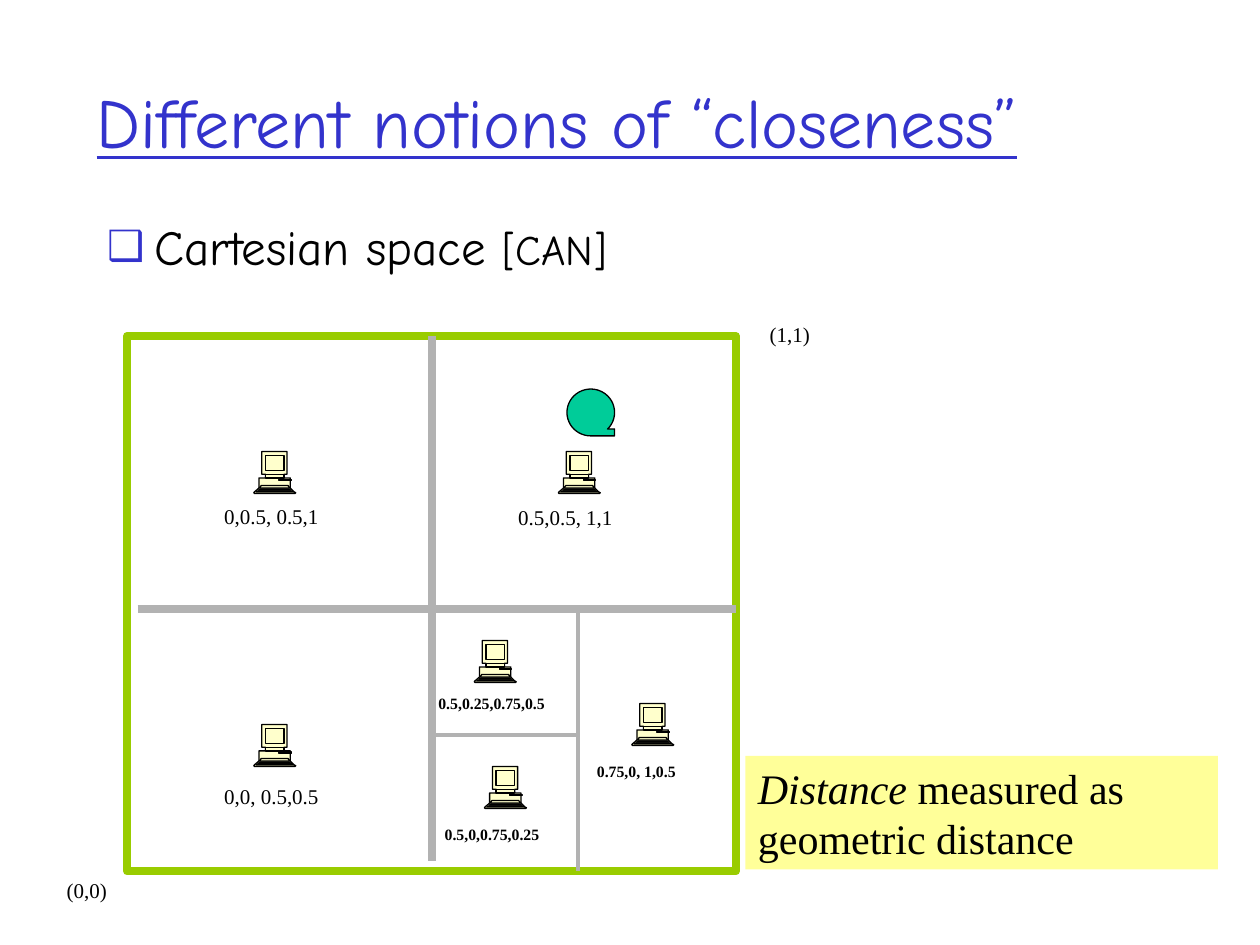
from lxml import etree
from pptx import Presentation
from pptx.dml.color import RGBColor
from pptx.enum import shapes, text
from pptx.oxml.ns import qn
from pptx.util import Pt

INK = {"blue": "3333CC", "black": "000000", "lime": "99CC00", "gray": "B2B2B2",
       "cream": "FFFFCC", "note": "FFFF99", "teal": "00CC99"}
HAND, SERIF = "Comic Neue", "Times New Roman"


def ring(x, y, w, h):
    return [(x, y), (x + w, y), (x + w, y + h), (x, y + h)]


def bar(x, y, w, h, slope):
    """Trapezoid whose top is shorter by slope on each side."""
    return [(x, y + h), (x + slope, y), (x + w - slope, y), (x + w, y + h)]


# Computer outline in tenths of a point, within a 240 by 240 box
CASE = [(230, 230), (209, 209), (209, 151), (173, 151), (173, 130), (190, 130),
        (190, 0), (46, 0), (46, 130), (67, 130), (67, 151), (30, 151),
        (30, 209), (5, 230), (0, 236), (5, 240), (235, 240), (240, 236)]
PARTS = [CASE, bar(40, 202, 160, 7, 10), bar(27, 215, 186, 7, 8),
         bar(14, 225, 212, 7, 8), bar(30, 194, 179, 15, 14),
         ring(144, 158, 70, 8), ring(67, 22, 106, 86), ring(67, 130, 106, 21)]


def rgb(name):
    return RGBColor.from_string(INK[name])


def style(run, size, face=SERIF, ink="black"):
    font = run.font
    font.size, font.name = Pt(size), face
    font.color.rgb = rgb(ink)
    return font


def paint(shape, fill=None, line=None, width=0.75):
    shape.shadow.inherit = False
    for part, ink in ((shape.fill, fill), (shape.line.fill, line)):
        if ink:
            part.solid()
            part.fore_color.rgb = rgb(ink)
        else:
            part.background()
    if line:
        shape.line.width = Pt(width)


def place(shape, box):
    shape.left, shape.top, shape.width, shape.height = map(Pt, box)


def rule(slide, x1, y1, x2, y2, width):
    line = slide.shapes.add_connector(
        shapes.MSO_CONNECTOR.STRAIGHT, Pt(x1), Pt(y1), Pt(x2), Pt(y2))
    line.line.color.rgb = rgb("gray")
    line.line.width = Pt(width)
    etree.SubElement(line._element.spPr, qn("a:effectLst"))


def label(slide, words, x, y, w, size=12, bold=False):
    box = slide.shapes.add_textbox(Pt(x), Pt(y), Pt(w), Pt(size * 1.2 + 7.2))
    frame = box.text_frame
    frame.text = words
    frame.word_wrap = False
    frame.auto_size = text.MSO_AUTO_SIZE.SHAPE_TO_FIT_TEXT
    style(frame.paragraphs[0].runs[0], size).bold = bold


def computer(slide, x, y):
    """Draw each part as its own path, so that none cuts a hole in another."""
    pen = slide.shapes.build_freeform(*CASE[0], scale=Pt(1) / 10)
    for i, part in enumerate(PARTS):
        if i:
            pen.move_to(*part[0])
        pen.add_line_segments(part[1:], close=True)
    shape = pen.convert_to_shape(Pt(x), Pt(y))
    paint(shape, "cream", "black")
    first = next(shape._element.iter(qn("a:path")))
    path = first
    for step in list(first)[1:]:
        if step.tag == qn("a:moveTo"):
            path = etree.SubElement(first.getparent(), qn("a:path"), dict(first.attrib))
        if path is not first:
            path.append(step)


def title(slide, box):
    shape = slide.shapes.title
    place(shape, box)
    frame = shape.text_frame
    frame.text = "Different notions of “closeness”"
    frame.vertical_anchor = text.MSO_ANCHOR.MIDDLE
    para = frame.paragraphs[0]
    para.alignment = text.PP_ALIGN.LEFT
    style(para.runs[0], 40, HAND, "blue").underline = True


def body(slide, box):
    shape = slide.placeholders[1]
    place(shape, box)
    para = shape.text_frame.paragraphs[0]
    props = para._p.get_or_add_pPr()
    props.set("marL", str(Pt(27)))
    props.set("indent", str(-Pt(27)))
    color = etree.SubElement(props, qn("a:buClr"))
    etree.SubElement(color, qn("a:srgbClr"), val=INK["blue"])
    etree.SubElement(props, qn("a:buSzPct"), val="85000")
    etree.SubElement(props, qn("a:buChar"), char="❑")
    for words, size in (("Cartesian space ", 28), ("[CAN]", 24)):
        run = para.add_run()
        run.text = words
        style(run, size, HAND)


def space(slide, box):
    """The unit square, split into zones with one computer each."""
    x, y, w, h = box
    frame = slide.shapes.add_shape(shapes.MSO_SHAPE.RECTANGLE, *map(Pt, box))
    paint(frame, None, "lime", 4.5)
    midx, midy = x + 174.3, y + 156
    subx, suby = x + 257.8, y + 228
    rule(slide, x + 6, midy, x + w, midy, 4.5)
    rule(slide, midx, y, midx, y + h - 6, 4.5)
    rule(slide, subx, midy, subx, y + h, 2.25)
    rule(slide, midx, suby, subx, suby, 2.25)
    for dx, dy in ((246.3, 66), (72.3, 66), (72.3, 222),
                   (198.3, 174), (204.1, 246), (288.3, 210)):
        computer(slide, x + dx, y + dy)
    for words, dx, dy in (("0,0.5, 0.5,1", 48.3, 92), ("0.5,0.5, 1,1", 216.3, 92.5),
                          ("0,0, 0.5,0.5", 48.3, 252.3)):
        label(slide, words, x + dx, y + dy, 82.8)
    for words, dx, dy, wide in (("0.5,0.25,0.75,0.5", 170.7, 201, 87.8),
                                ("0.5,0,0.75,0.25", 174.3, 276, 79.9),
                                ("0.75,0, 1,0.5", 261.3, 240, 68.4)):
        label(slide, words, x + dx, y + dy, wide, 9, True)
    label(slide, "(0,0)", x - 41.7, y + h, 41)
    label(slide, "(1,1)", x + w + 12.2, y - 12, 41)


def note(slide, box):
    shape = slide.shapes.add_shape(shapes.MSO_SHAPE.RECTANGLE, *map(Pt, box))
    paint(shape, "note")
    frame = shape.text_frame
    frame.word_wrap = True
    frame.vertical_anchor = text.MSO_ANCHOR.TOP
    frame.auto_size = text.MSO_AUTO_SIZE.SHAPE_TO_FIT_TEXT
    para = frame.paragraphs[0]
    para.alignment = text.PP_ALIGN.LEFT
    for words, slant in (("Distance", True), (" measured as geometric distance", False)):
        run = para.add_run()
        run.text = words
        style(run, 24).italic = slant


def query(slide, box):
    kind = shapes.MSO_SHAPE.FLOWCHART_SEQUENTIAL_ACCESS_STORAGE
    paint(slide.shapes.add_shape(kind, *map(Pt, box)), "teal", "black")


def main():
    deck = Presentation()
    deck.slide_width, deck.slide_height = Pt(720), Pt(540)
    slide = deck.slides.add_slide(deck.slide_layouts[1])
    title(slide, (48, 24, 654, 90))
    body(slide, (54, 120, 612, 54))
    space(slide, (72.7, 192, 347.8, 306))
    note(slide, (426, 432, 270, 64.8))
    query(slide, (324, 222.3, 27.2, 26.8))
    deck.save("out.pptx")


if __name__ == "__main__":
    main()
